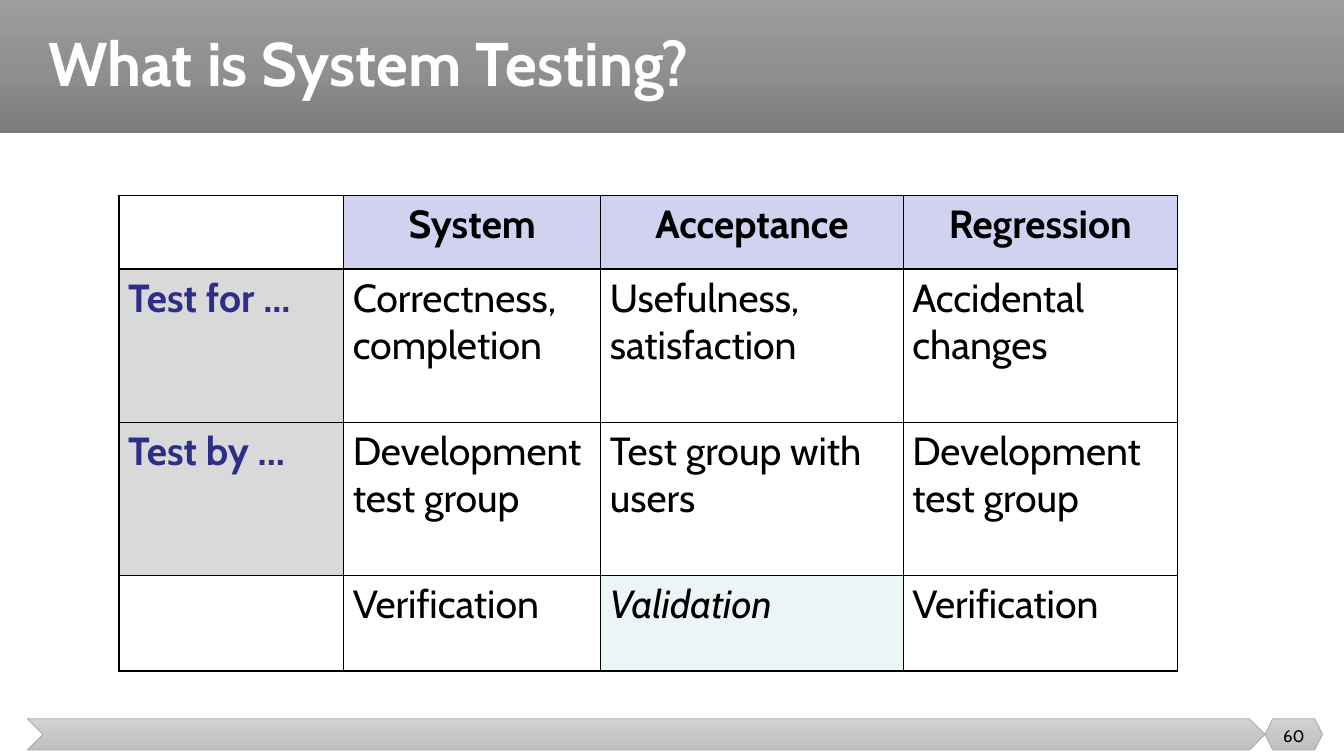
from copy import deepcopy
from dataclasses import dataclass

from lxml.etree import SubElement
from pptx import Presentation
from pptx.dml.color import RGBColor
from pptx.enum.shapes import MSO_SHAPE
from pptx.enum.text import MSO_ANCHOR, PP_ALIGN
from pptx.oxml.ns import qn
from pptx.util import Cm, Pt

FONT = "Cabin"
BLACK = "000000"
NAVY = "2D2D8A"
LAVENDER = "D1D1F0"
GREY = "D9D9D9"
PALE_TEAL = "DAEDEF"
BAR_GRADIENT = ("D2D2D2", "C8C8C8", "C0C0C0")
HEADER_HEIGHT = 3.35
FOOTER_TOP, FOOTER_HEIGHT = 18.11, 0.79
BADGE_LEFT, BADGE_WIDTH = 31.88, 1.45


@dataclass
class Bar:
    kind: MSO_SHAPE
    left: float
    top: float
    width: float
    height: float
    gradient: tuple[str, str, str]
    line: str | None = None


@dataclass
class CellStyle:
    color: str = BLACK
    bold: bool = False
    italic: bool = False
    fill: str | None = None
    alpha: int | None = None
    alignment: PP_ALIGN = PP_ALIGN.LEFT


BARS = [
    Bar(MSO_SHAPE.RECTANGLE, 0, 0, 33.87, HEADER_HEIGHT, ("9D9D9D", "909090", "7C7C7C")),
    Bar(MSO_SHAPE.CHEVRON, 0.69, FOOTER_TOP, 31.19, FOOTER_HEIGHT, BAR_GRADIENT, "A5A5A5"),
    Bar(MSO_SHAPE.HEXAGON, BADGE_LEFT, FOOTER_TOP, BADGE_WIDTH, FOOTER_HEIGHT, BAR_GRADIENT, "A5A5A5"),
]

COLUMN_WIDTHS = [5.66, 6.48, 7.62, 6.91]
ROW_HEIGHTS = [1.85, 3.86, 3.86, 2.41]
ROWS = [
    ["", "System", "Acceptance", "Regression"],
    ["Test for ...", "Correctness, completion", "Usefulness, satisfaction", "Accidental changes"],
    ["Test by ...", "Development test group", "Test group with users", "Development test group"],
    ["", "Verification", "Validation", "Verification"],
]
PLAIN = CellStyle()
COLUMN_HEAD = CellStyle(bold=True, fill=LAVENDER, alignment=PP_ALIGN.CENTER)
ROW_HEAD = CellStyle(color=NAVY, bold=True, fill=GREY)
HIGHLIGHT = CellStyle(italic=True, fill=PALE_TEAL, alpha=51)


def rgb(value: str) -> RGBColor:
    return RGBColor.from_string(value)


def set_attributes(target, values: dict) -> None:
    for name, value in values.items():
        setattr(target, name, value)


def format_font(font, size: float, color: str, bold: bool = False, italic: bool = False) -> None:
    set_attributes(font, {"name": FONT, "size": Pt(size), "bold": bold, "italic": italic})
    font.color.rgb = rgb(color)


def draw_bar(slide, bar: Bar) -> None:
    box = map(Cm, (bar.left, bar.top, bar.width, bar.height))
    shape = slide.shapes.add_shape(bar.kind, *box)
    shape.shadow.inherit = False
    shape.fill.gradient()
    shape.fill.gradient_angle = 270  # counter-clockwise: top to bottom
    first_stop = shape.element.spPr.find(".//" + qn("a:gs"))
    first_stop.addnext(deepcopy(first_stop))
    for index, (stop, color) in enumerate(zip(shape.fill.gradient_stops, bar.gradient)):
        stop.position = index / 2
        stop.color.rgb = rgb(color)
    if bar.line:
        shape.line.color.rgb = rgb(bar.line)
        shape.line.width = Pt(0.5)
    else:
        shape.line.fill.background()


def add_borders(cell) -> None:
    properties = cell._tc.get_or_add_tcPr()
    for index, side in enumerate(("lnL", "lnR", "lnT", "lnB")):
        line = properties.makeelement(qn(f"a:{side}"), {"w": str(Pt(1))})
        fill = SubElement(line, qn("a:solidFill"))
        SubElement(fill, qn("a:srgbClr"), {"val": BLACK})
        properties.insert(index, line)


def cell_style(row: int, column: int) -> CellStyle:
    text = ROWS[row][column]
    if text == "Validation":
        return HIGHLIGHT
    if text and row == 0:
        return COLUMN_HEAD
    if text and column == 0:
        return ROW_HEAD
    return PLAIN


def fill_cell(cell, text: str, style: CellStyle) -> None:
    set_attributes(cell, {
        "margin_left": Cm(0.23), "margin_right": Cm(0.23),
        "margin_top": Cm(0.13), "margin_bottom": Cm(0.13),
    })
    if style.fill:
        cell.fill.solid()
        cell.fill.fore_color.rgb = rgb(style.fill)
    else:
        cell.fill.background()
    if style.alpha:
        color = cell._tc.tcPr.find(".//" + qn("a:srgbClr"))
        SubElement(color, qn("a:alpha"), {"val": str(style.alpha * 1000)})
    add_borders(cell)
    cell.text = text
    paragraph = cell.text_frame.paragraphs[0]
    paragraph.alignment = style.alignment
    format_font(paragraph.font, 28, style.color, style.bold, style.italic)


def draw_table(slide) -> None:
    frame = slide.shapes.add_table(
        len(ROWS), len(COLUMN_WIDTHS), Cm(3), Cm(4.93),
        Cm(sum(COLUMN_WIDTHS)), Cm(sum(ROW_HEIGHTS)))
    table = frame.table
    set_attributes(table, {"first_row": False, "horz_banding": False})
    for column, width in zip(table.columns, COLUMN_WIDTHS):
        column.width = Cm(width)
    for row_index, (row, height) in enumerate(zip(table.rows, ROW_HEIGHTS)):
        row.height = Cm(height)
        for column_index, cell in enumerate(row.cells):
            fill_cell(cell, ROWS[row_index][column_index], cell_style(row_index, column_index))


def write_title(slide) -> None:
    title = slide.shapes.title
    set_attributes(title, {
        "left": Cm(0.97), "top": Cm(0), "width": Cm(32.36), "height": Cm(HEADER_HEIGHT),
    })
    title.text_frame.text = "What is System Testing?"
    title.text_frame.vertical_anchor = MSO_ANCHOR.MIDDLE
    paragraph = title.text_frame.paragraphs[0]
    set_attributes(paragraph, {"alignment": PP_ALIGN.LEFT, "line_spacing": 0.9})
    format_font(paragraph.font, 44, "FFFFFF", bold=True)
    # Bring the title in front of the header band
    title.element.getparent().append(title.element)


def write_page_number(slide) -> None:
    box = slide.shapes.add_textbox(Cm(BADGE_LEFT), Cm(18.03), Cm(BADGE_WIDTH), Cm(1.02))
    frame = box.text_frame
    set_attributes(frame, {"word_wrap": True, "vertical_anchor": MSO_ANCHOR.MIDDLE, "text": "60"})
    paragraph = frame.paragraphs[0]
    paragraph.alignment = PP_ALIGN.CENTER
    format_font(paragraph.font, 12, BLACK)


def main() -> None:
    presentation = Presentation()
    set_attributes(presentation, {"slide_width": Cm(33.87), "slide_height": Cm(19.05)})
    slide = presentation.slides.add_slide(presentation.slide_layouts[5])

    # Header band and footer
    for bar in BARS:
        draw_bar(slide, bar)

    # Content
    write_title(slide)
    draw_table(slide)
    write_page_number(slide)
    presentation.save("out.pptx")


if __name__ == "__main__":
    main()
